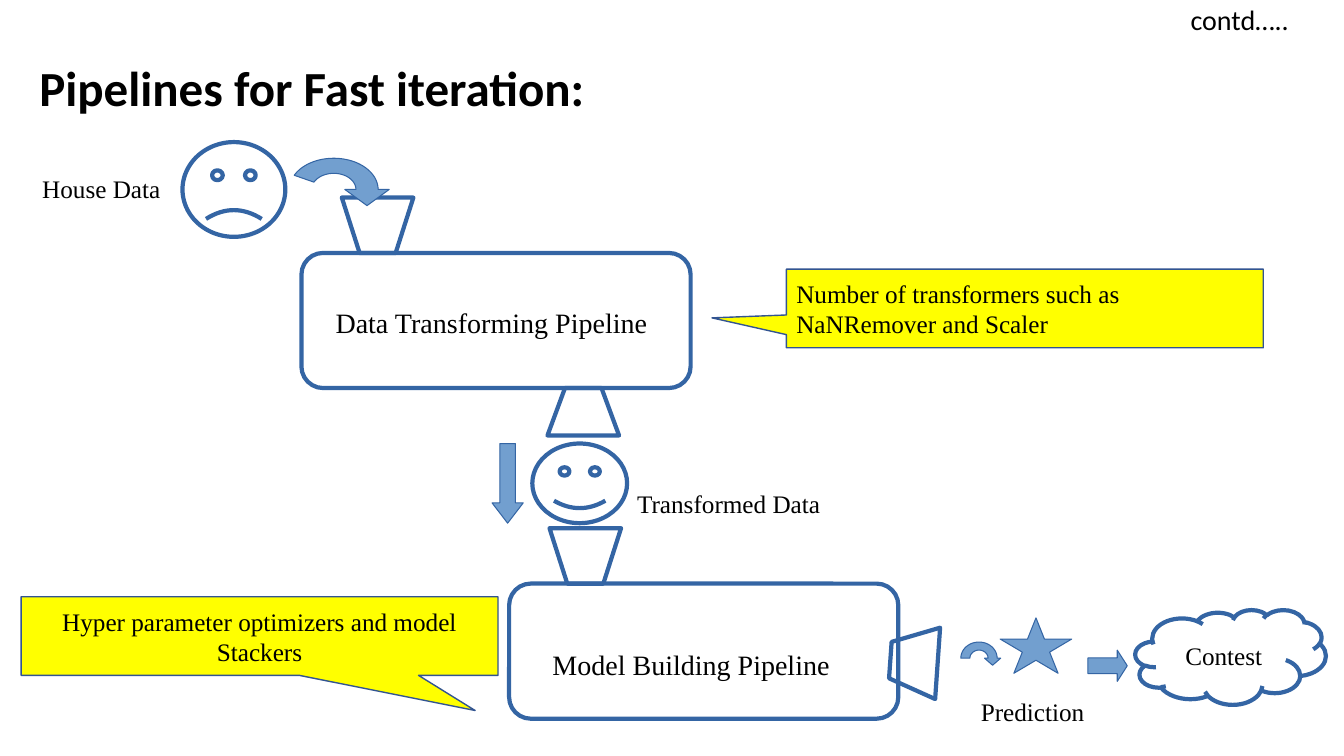
from dataclasses import dataclass
from math import cos, pi, sin

from pptx import Presentation
from pptx.dml.color import RGBColor
from pptx.enum.shapes import MSO_SHAPE
from pptx.enum.text import MSO_ANCHOR, PP_ALIGN
from pptx.util import Inches, Pt

ROUNDED = MSO_SHAPE.ROUNDED_RECTANGLE
TRAPEZOID = MSO_SHAPE.TRAPEZOID
SMILEY = MSO_SHAPE.SMILEY_FACE
CALLOUT = MSO_SHAPE.RECTANGULAR_CALLOUT
DOWN = MSO_SHAPE.DOWN_ARROW
RIGHT = MSO_SHAPE.RIGHT_ARROW
STAR = MSO_SHAPE.STAR_5_POINT
CLOUD = MSO_SHAPE.CLOUD
LEFT, CENTER = PP_ALIGN.LEFT, PP_ALIGN.CENTER
TOP, MIDDLE = MSO_ANCHOR.TOP, MSO_ANCHOR.MIDDLE


@dataclass(frozen=True)
class Theme:
    ink: RGBColor = RGBColor(0, 0, 0)
    outline: RGBColor = RGBColor(0x34, 0x65, 0xA4)
    arrow: RGBColor = RGBColor(0x72, 0x9F, 0xCF)
    note: RGBColor = RGBColor(0xFF, 0xFF, 0)
    note_edge: RGBColor = RGBColor(0x32, 0x54, 0x91)
    heading_font: str = "Calibri"
    body_font: str = "Times New Roman"
    title_size: float = 35
    large: float = 20
    label: float = 18


THEME = Theme()


def write(frame, text, size=THEME.label, font=THEME.body_font, bold=False,
          align=LEFT, anchor=TOP):
    for name, value in {"word_wrap": True, "vertical_anchor": anchor}.items():
        setattr(frame, name, value)
    frame.text = text
    paragraph = frame.paragraphs[0]
    paragraph.alignment = align
    run_format = {"size": Pt(size), "name": font, "bold": bold}
    for name, value in run_format.items():
        setattr(paragraph.runs[0].font, name, value)
    paragraph.runs[0].font.color.rgb = THEME.ink


def add_label(slide, box, text, **style):
    label = slide.shapes.add_textbox(*map(Inches, box))
    write(label.text_frame, text, **style)


def paint(shape, fill=None, edge=THEME.outline, width=3):
    shape.shadow.inherit = False
    if fill is None:
        shape.fill.background()
    else:
        shape.fill.solid()
        shape.fill.fore_color.rgb = fill
    shape.line.color.rgb = edge
    shape.line.width = Pt(width)


def add_part(slide, kind, box, adjustments=(), rotation=0, **look):
    part = slide.shapes.add_shape(kind, *map(Inches, box))
    for index, value in enumerate(adjustments):
        part.adjustments[index] = value
    part.rotation = rotation
    paint(part, **look)
    return part


def add_arrow(slide, kind, box, adjustments=()):
    add_part(slide, kind, box, adjustments, fill=THEME.arrow, width=0.75)


def add_bent_arrow(slide, center, outer, inner, start, head_half, head_depth):
    x, y = center
    steps = 40
    angles = [start + (2 * pi - start) * i / steps for i in range(steps + 1)]

    def arc(radii, sweep):
        return [(x + radii[0] * cos(a), y + radii[1] * sin(a)) for a in sweep]

    tip = x + (outer[0] + inner[0]) / 2
    head = [(tip + head_half, y), (tip, y + head_depth), (tip - head_half, y)]
    points = arc(outer, angles) + head + arc(inner, reversed(angles))
    builder = slide.shapes.build_freeform(
        Inches(points[0][0]), Inches(points[0][1]))
    builder.add_line_segments(
        [(Inches(px), Inches(py)) for px, py in points[1:]], close=True)
    paint(builder.convert_to_shape(), fill=THEME.arrow, width=0.75)


def add_heading(slide, box):
    title = slide.shapes.title
    for name, value in zip(("left", "top", "width", "height"), box):
        setattr(title, name, Inches(value))
    write(title.text_frame, "Pipelines for Fast iteration:",
          size=THEME.title_size, font=THEME.heading_font, bold=True)
    add_label(slide, (11.71, -0.02, 1.44, 0.34), "contd…..",
              size=THEME.large, font=THEME.heading_font)


def add_pipeline(slide, box, name, name_box, funnel_offset):
    left, top, width, height = box
    add_part(slide, ROUNDED, box, [0.16])
    add_part(slide, TRAPEZOID, (left + funnel_offset, top - 0.55, 0.71, 0.55),
             [0.32], rotation=180)
    dx, dy, label_width = name_box
    add_label(slide, (left + dx, top + dy, label_width, 0.72), name,
              size=THEME.large)


def add_note(slide, box, text, pointer, align=LEFT):
    note = add_part(slide, CALLOUT, box, pointer, fill=THEME.note,
                    edge=THEME.note_edge, width=1)
    write(note.text_frame, text, align=align, anchor=MIDDLE)


def add_transforming_stage(slide, box):
    left, top, width, height = box
    add_label(slide, (left - 2.67, top - 0.84, 1.41, 0.52), "House Data")
    add_part(slide, SMILEY, (left - 1.18, top - 1.1, 1.02, 0.94), [-0.0465])
    add_pipeline(slide, box, "Data Transforming Pipeline",
                 (0.24, 0.47, 3.46), 0.4)
    add_bent_arrow(slide, (left + 0.32, top - 0.63), (0.44, 0.31),
                   (0.22, 0.16), 1.15 * pi, 0.22, 0.16)
    add_part(slide, TRAPEZOID, (left + 2.44, top + height, 0.71, 0.47), [0.37])
    add_note(slide, (left + 4.81, top + 0.16, 4.73, 0.78),
             "Number of transformers such as NaNRemover and Scaler",
             [-0.656, 0.12])


def add_transformed_data(slide, box):
    left, top, width, height = box
    add_part(slide, SMILEY, box, [0.0465])
    add_label(slide, (left + width, top + 0.39, 2.02, 0.38), "Transformed Data")
    add_arrow(slide, DOWN, (left - 0.4, top, 0.31, height), [0.5, 0.65])


def add_model_stage(slide, box):
    left, top, width, height = box
    add_pipeline(slide, box, "Model Building Pipeline", (0.33, 0.58, 3.15), 0.4)
    add_part(slide, TRAPEZOID, (left + 3.66, top + 0.54, 0.71, 0.47),
             [0.37], rotation=274)
    add_note(slide, (left - 4.84, top + 0.13, 4.73, 0.78),
             "Hyper parameter optimizers and model Stackers",
             [0.452, 0.947], CENTER)


def add_prediction(slide, box):
    left, top, width, height = box
    add_bent_arrow(slide, (left + 0.18, top + 0.48), (0.18, 0.16),
                   (0.09, 0.08), pi, 0.08, 0.07)
    add_arrow(slide, STAR, (left + 0.39, top + 0.08, 0.71, 0.55))
    add_label(slide, (left + 0.1, top + 0.81, 1.23, 0.38), "Prediction")
    add_arrow(slide, RIGHT, (left + 1.26, top + 0.4, 0.39, 0.31), [0.5, 0.32])
    contest = add_part(slide, CLOUD, (left + 1.73, top, 1.89, height))
    write(contest.text_frame, "Contest", align=CENTER, anchor=MIDDLE)


def main():
    deck = Presentation()
    deck.slide_width, deck.slide_height = Inches(13.33), Inches(7.5)
    slide = deck.slides.add_slide(deck.slide_layouts[5])
    add_heading(slide, (0.29, 0.52, 6.56, 0.52))
    add_transforming_stage(slide, (2.99, 2.51, 3.86, 1.34))
    add_transformed_data(slide, (5.28, 4.4, 0.94, 0.79))
    add_model_stage(slide, (5.05, 5.79, 3.86, 1.34))
    add_prediction(slide, (9.53, 6.05, 3.62, 0.94))
    deck.save("out.pptx")


if __name__ == "__main__":
    main()
